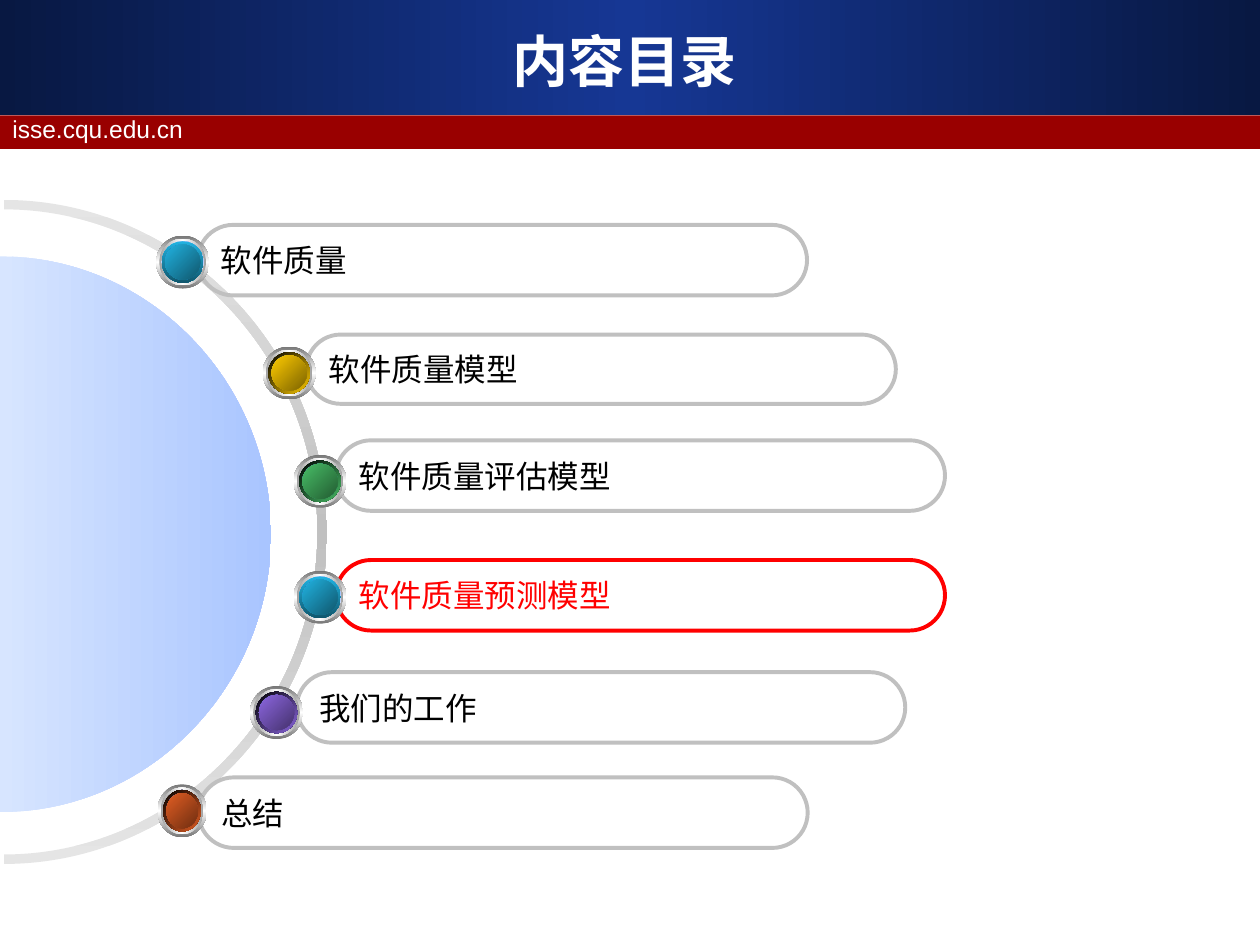
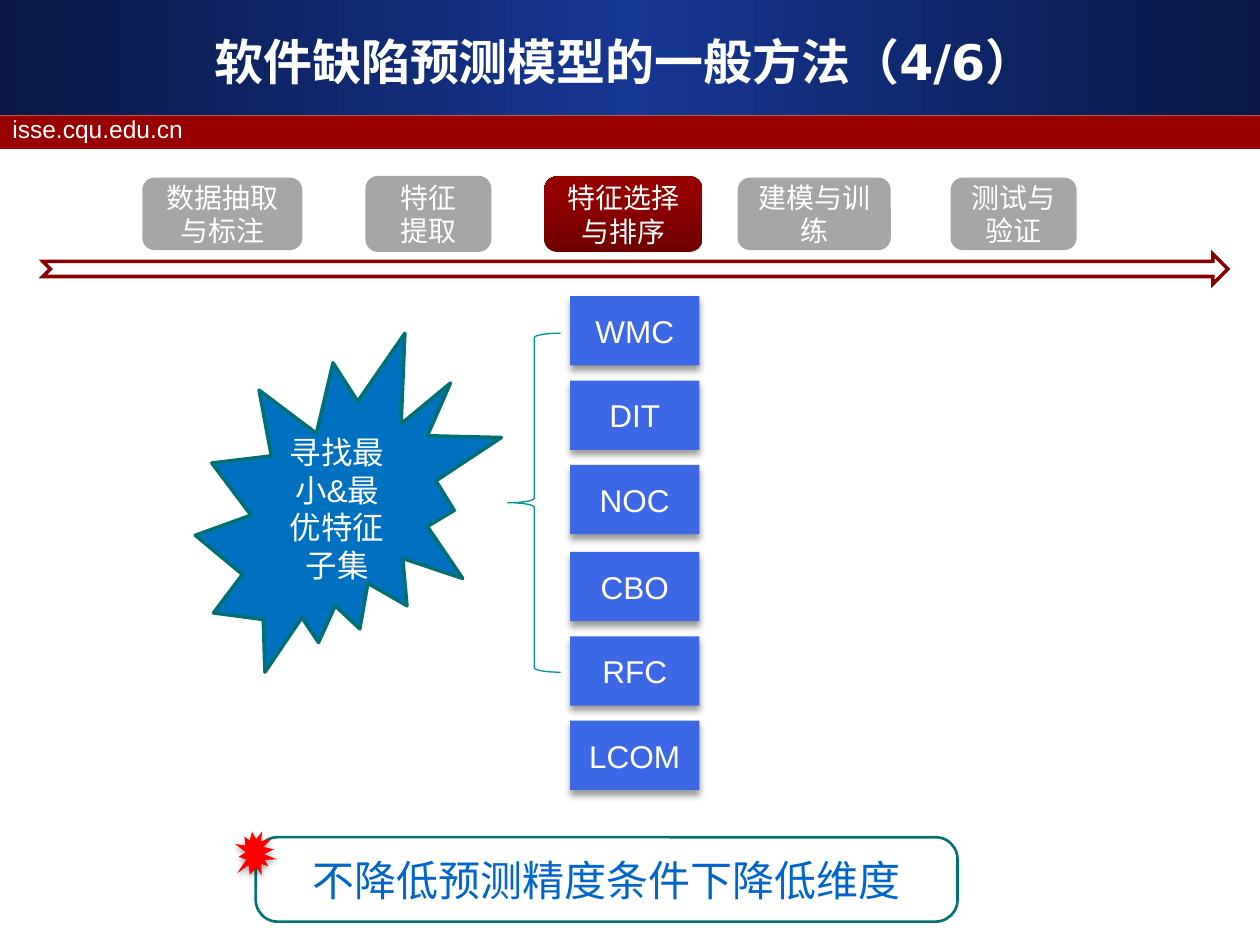
from dataclasses import dataclass

from lxml import etree
from pptx import Presentation
from pptx import util as u
from pptx.dml.color import RGBColor
from pptx.enum import shapes, text
from pptx.oxml.ns import qn

SLIDE_W, SLIDE_H = u.Inches(10), u.Inches(7.5)
CELL = SLIDE_W / 100  # the slide is a grid of 100 columns by 75 rows

WHITE = RGBColor(0xFF, 0xFF, 0xFF)
BLACK = RGBColor(0x00, 0x00, 0x00)
RED = RGBColor(0xFF, 0x00, 0x00)
NAVY = RGBColor(0x08, 0x18, 0x42)
ROYAL = RGBColor(0x16, 0x37, 0x94)
MAROON = RGBColor(0x99, 0x00, 0x00)
STEP_DARK = RGBColor(0x71, 0x00, 0x00)
STEP_RED = RGBColor(0x94, 0x00, 0x00)
ARROW_RED = RGBColor(0x8A, 0x00, 0x00)
SILVER = RGBColor(0xC0, 0xC0, 0xC0)
PALE_GREY = RGBColor(0xE5, 0xE5, 0xE5)
STEP_GREY = RGBColor(0xA6, 0xA6, 0xA6)
RIM_GREY = RGBColor(0x76, 0x76, 0x76)
RIM_LIGHT = RGBColor(0xA2, 0xA2, 0xA2)
GLOW = RGBColor(0x66, 0x99, 0xFF)
GLOW_DARK = RGBColor(0x4E, 0x75, 0xC3)
DISC_PALE = RGBColor(0xD7, 0xE5, 0xFF)
DISC_BLUE = RGBColor(0xA9, 0xC5, 0xFF)
METRIC_BLUE = RGBColor(0x3D, 0x68, 0xE5)
SEAL_BLUE = RGBColor(0x00, 0x70, 0xC0)
SEAL_EDGE = RGBColor(0x00, 0x71, 0x71)
GOAL_BLUE = RGBColor(0x00, 0x66, 0xCC)
GOAL_EDGE = RGBColor(0x00, 0x73, 0x73)
BRACE_TEAL = RGBColor(0x00, 0x96, 0x96)

LATIN, TITLE_FONT, CJK = "Arial", "DejaVu Sans", "Noto Sans CJK SC"
KIND = shapes.MSO_SHAPE
ALIGN = text.PP_ALIGN
Point = tuple[float, float]


@dataclass(frozen=True)
class Area:
    col: float
    row: float
    cols: float
    rows: float

    def emu(self) -> tuple[int, ...]:
        return tuple(round(v * CELL) for v in (self.col, self.row, self.cols, self.rows))

    def inset(self, by: float) -> "Area":
        return Area(self.col + by, self.row + by, self.cols - 2 * by, self.rows - 2 * by)


@dataclass(frozen=True)
class Gradient:
    """Stops as (percent, colour); the angle runs clockwise from left-to-right."""
    stops: tuple[tuple[int, RGBColor], ...]
    angle: int = 0


@dataclass(frozen=True)
class Line:
    color: RGBColor
    points: float


@dataclass(frozen=True)
class Shadow:
    alpha: int
    blur: float
    distance: float


@dataclass(frozen=True)
class Ball:
    face: Gradient
    rim: Gradient


@dataclass(frozen=True)
class Topic:
    label: str
    pill: Area
    ball_area: Area
    ball: Ball
    color: RGBColor = BLACK
    edge: RGBColor = SILVER


@dataclass(frozen=True)
class Step:
    label: str
    area: Area
    fill: RGBColor | Gradient = STEP_GREY


def mirrored(edge: RGBColor, middle: RGBColor, angle: int = 0) -> Gradient:
    return Gradient(((0, edge), (50, middle), (100, edge)), angle)


def ball(light: str, dark: str) -> Ball:
    color = RGBColor.from_string(light)
    return Ball(Gradient(((0, color), (100, RGBColor.from_string(dark))), 45),
                Gradient(((0, BLACK), (100, color)), 45))


BLUE_FACE = ball("21B3E1", "10576D").face
BLUE_BALL = Ball(BLUE_FACE, Gradient(BLUE_FACE.stops, 90))
TOPICS = (
    Topic("软件质量", Area(15.7, 17.85, 48.35, 5.6), Area(12.4, 18.7, 4.2, 4.2), BLUE_BALL),
    Topic("软件质量模型", Area(24.3, 26.55, 46.8, 5.5), Area(20.85, 27.5, 4.2, 4.2),
          ball("FFCC00", "7C6300")),
    Topic("软件质量评估模型", Area(26.65, 34.95, 48.35, 5.6), Area(23.3, 36.1, 4.2, 4.2),
          ball("48BE67", "235C32")),
    Topic("软件质量预测模型", Area(26.65, 44.45, 48.35, 5.6), Area(23.3, 45.3, 4.2, 4.2),
          BLUE_BALL, RED, RED),
    Topic("我们的工作", Area(23.55, 53.35, 48.3, 5.6), Area(19.85, 54.45, 4.2, 4.2),
          ball("8D67E1", "45326D")),
    Topic("总结", Area(15.75, 61.7, 48.35, 5.6), Area(12.5, 62.25, 3.9, 4.2),
          ball("E35E23", "6E2E11")),
)
STEPS = (
    Step("数据抽取与标注", Area(11.3, 14.1, 12.7, 5.75)),
    Step("特征\n提取", Area(29, 13.95, 10, 6.05)),
    Step("特征选择与排序", Area(43.2, 14, 12.55, 6),
         Gradient(((0, STEP_DARK), (80, STEP_RED), (100, STEP_RED)), 270)),
    Step("建模与训练", Area(58.55, 14.1, 12.15, 5.75)),
    Step("测试与验证", Area(75.45, 14.1, 10, 5.75)),
)
METRIC_TRIOS = (("WMC", "DIT", "NOC"), ("CBO", "RFC", "LCOM"))
METRIC_TOP, TRIO_PITCH, METRIC_PITCH = 23.5, 20.3, 6.7


def paint(shape, fill: RGBColor | Gradient | None, line: Line | None = None,
          shadow: Shadow | None = None) -> None:
    properties = shape._element.spPr
    if isinstance(fill, Gradient):
        shape.fill.gradient()
        shape.fill.gradient_angle = (360 - fill.angle) % 360
        stops = properties.find(".//" + qn("a:gsLst"))
        for stop in list(stops):
            stops.remove(stop)
        for percent, color in fill.stops:
            stop = etree.SubElement(stops, qn("a:gs"), pos=str(percent * 1000))
            etree.SubElement(stop, qn("a:srgbClr"), val=str(color))
    elif fill is None:
        shape.fill.background()
    else:
        shape.fill.solid()
        shape.fill.fore_color.rgb = fill
    if line:
        shape.line.color.rgb = line.color
        shape.line.width = u.Pt(line.points)
    else:
        shape.line.fill.background()
    shape.shadow.inherit = False
    if shadow:
        effects = properties.find(qn("a:effectLst"))
        outer = etree.SubElement(effects, qn("a:outerShdw"), blurRad=str(u.Pt(shadow.blur)),
                                 dist=str(u.Pt(shadow.distance)), dir="5400000",
                                 rotWithShape="0")
        color = etree.SubElement(outer, qn("a:srgbClr"), val=str(BLACK))
        etree.SubElement(color, qn("a:alpha"), val=str(shadow.alpha * 1000))


def write(shape, words: str, size: float, color: RGBColor = WHITE, align=ALIGN.CENTER,
          font: str = LATIN, bold: bool = False) -> None:
    frame = shape.text_frame
    frame.text = words
    frame.word_wrap = True
    for paragraph in frame.paragraphs:
        paragraph.alignment = align
        paragraph.font.size = u.Pt(size)
        paragraph.font.bold = bold
        paragraph.font.color.rgb = color
        paragraph.font.name = font
        etree.SubElement(paragraph.font._element.find(".//" + qn("a:latin")).getparent(),
                         qn("a:ea"), typeface=CJK)


def draw(container, kind, area: Area, fill: RGBColor | Gradient | None,
         line: Line | None = None, shadow: Shadow | None = None,
         corner: float | None = None):
    shape = container.add_shape(kind, *area.emu())
    if corner is not None:
        shape.adjustments[0] = corner
    paint(shape, fill, line, shadow)
    return shape


def half_ellipse(col: float, row: float, rx: float, ry: float) -> list[list[Point]]:
    """Start point and two curves of a right half; a negative ry runs upwards."""
    kx, ky = 0.55 * rx, 0.55 * ry
    return [[(col, row - ry)],
            [(col + kx, row - ry), (col + rx, row - ky), (col + rx, row)],
            [(col + rx, row + ky), (col + kx, row + ry), (col, row + ry)]]


def draw_outline(slide, segments: list[list[Point]], fill: Gradient) -> None:
    """Draw segments of one point as lines and segments of three as curves."""
    start, *rest = [[(round(x * CELL), round(y * CELL)) for x, y in s] for s in segments]
    builder = slide.shapes.build_freeform(*start[0])
    builder.add_line_segments([segment[-1] for segment in rest], close=True)
    shape = builder.convert_to_shape()
    path = shape._element.spPr.find(".//" + qn("a:path"))
    for side, segment in zip(path.findall(qn("a:lnTo")), rest):
        if len(segment) == 3:
            curve = etree.Element(qn("a:cubicBezTo"))
            for x, y in segment:
                etree.SubElement(curve, qn("a:pt"), x=str(x - shape.left),
                                 y=str(y - shape.top))
            path.replace(side, curve)
    paint(shape, fill)


def draw_ball(slide, area: Area, look: Ball) -> None:
    group = slide.shapes.add_group_shape()
    layers = ((0, mirrored(RIM_GREY, WHITE, 90)), (0.25, mirrored(RIM_LIGHT, WHITE)),
              (0.45, mirrored(WHITE, GLOW, 45)), (0.45, look.rim),
              (0.7, mirrored(GLOW_DARK, GLOW, 315)), (0.7, look.face))
    for inset, fill in layers:
        draw(group.shapes, KIND.OVAL, area.inset(inset), fill)


def furnish_layout(layout, slide) -> None:
    """Move the title and put the header bands, drawn on a slide, behind it."""
    title = layout.placeholders[0]
    title.left, title.top, title.width, title.height = Area(3.3, 1.7, 92.5, 6.2).emu()
    header = draw(slide.shapes, KIND.RECTANGLE, Area(0, 0, 100, 9.13), mirrored(NAVY, ROYAL))
    band = draw(slide.shapes, KIND.RECTANGLE, Area(0, 9.17, 100, 2.66), MAROON)
    site = slide.shapes.add_textbox(*Area(0, 8.6, 96.1, 3.4).emu())
    write(site, "isse.cqu.edu.cn", 14, align=ALIGN.LEFT)
    for order, part in enumerate((header, band, site)):
        part._element.nvSpPr.cNvPr.id = 100 + order
        layout.shapes._spTree.insert(2 + order, part._element)


def set_title(slide, words: str, size: float) -> None:
    title = slide.shapes.title
    write(title, words, size, font=TITLE_FONT, bold=True)
    title.text_frame.vertical_anchor = text.MSO_ANCHOR.MIDDLE
    title.text_frame.auto_size = text.MSO_AUTO_SIZE.NONE


def fill_contents(slide) -> None:
    set_title(slide, "内容目录", 32)
    ring = half_ellipse(0.3, 42.22, 25.65, 26.35) + half_ellipse(0.3, 42.22, 24.9, -25.6)
    draw_outline(slide, ring, mirrored(PALE_GREY, SILVER, 90))
    draw_outline(slide, half_ellipse(0, 42.4, 21.5, 22.05),
                 Gradient(((0, DISC_PALE), (100, DISC_BLUE))))
    for topic in TOPICS:
        pill = draw(slide.shapes, KIND.ROUNDED_RECTANGLE, topic.pill, None,
                    Line(topic.edge, 2.25), corner=0.5)
        write(pill, topic.label, 18, topic.color, ALIGN.LEFT, CJK)
        draw_ball(slide, topic.ball_area, topic.ball)


def fill_method(slide) -> None:
    set_title(slide, "软件缺陷预测模型的一般方法（4/6）", 28)
    process = slide.shapes.add_group_shape()
    for step in STEPS:
        box = draw(process.shapes, KIND.ROUNDED_RECTANGLE, step.area, step.fill, corner=0.17)
        write(box, step.label, 16)
    timeline = draw(process.shapes, KIND.NOTCHED_RIGHT_ARROW, Area(3.4, 20.15, 94.05, 2.4),
                    WHITE, Line(ARROW_RED, 2))
    etree.SubElement(timeline._element.spPr.find(qn("a:ln")), qn("a:miter"), lim="800000")

    for trio, metrics in enumerate(METRIC_TRIOS):
        for order, metric in enumerate(metrics):
            row = METRIC_TOP + trio * TRIO_PITCH + order * METRIC_PITCH
            box = draw(slide.shapes, KIND.RECTANGLE, Area(45.25, row, 10.25, 5.5),
                       METRIC_BLUE, shadow=Shadow(40, 4, 3))
            write(box, metric, 18)

    search = draw(slide.shapes, KIND.EXPLOSION2, Area(15.5, 26.45, 24.3, 26.9), SEAL_BLUE,
                  Line(SEAL_EDGE, 2))
    write(search, "寻找最小&最优特征子集", 18)

    conclusion = slide.shapes.add_group_shape()
    goal = draw(conclusion.shapes, KIND.ROUNDED_RECTANGLE, Area(20.3, 66.45, 55.7, 6.7), None,
                Line(GOAL_EDGE, 1.5), corner=0.26)
    write(goal, "不降低预测精度条件下降低维度", 24, GOAL_BLUE)
    spark = draw(conclusion.shapes, KIND.EXPLOSION1, Area(18.55, 66, 3.5, 3.4), RED,
                 shadow=Shadow(35, 3.1, 1.8))
    spark.rotation = 274.1

    draw(slide.shapes, KIND.LEFT_BRACE, Area(40.3, 26.45, 4.2, 26.9), None,
         Line(BRACE_TEAL, 0.75))


def main() -> None:
    deck = Presentation()
    deck.slide_width, deck.slide_height = SLIDE_W, SLIDE_H
    layout = deck.slide_layouts.get_by_name("Title Only")
    contents, method = (deck.slides.add_slide(layout) for _ in range(2))
    furnish_layout(layout, contents)
    fill_contents(contents)
    fill_method(method)
    deck.save("out.pptx")


if __name__ == "__main__":
    main()
